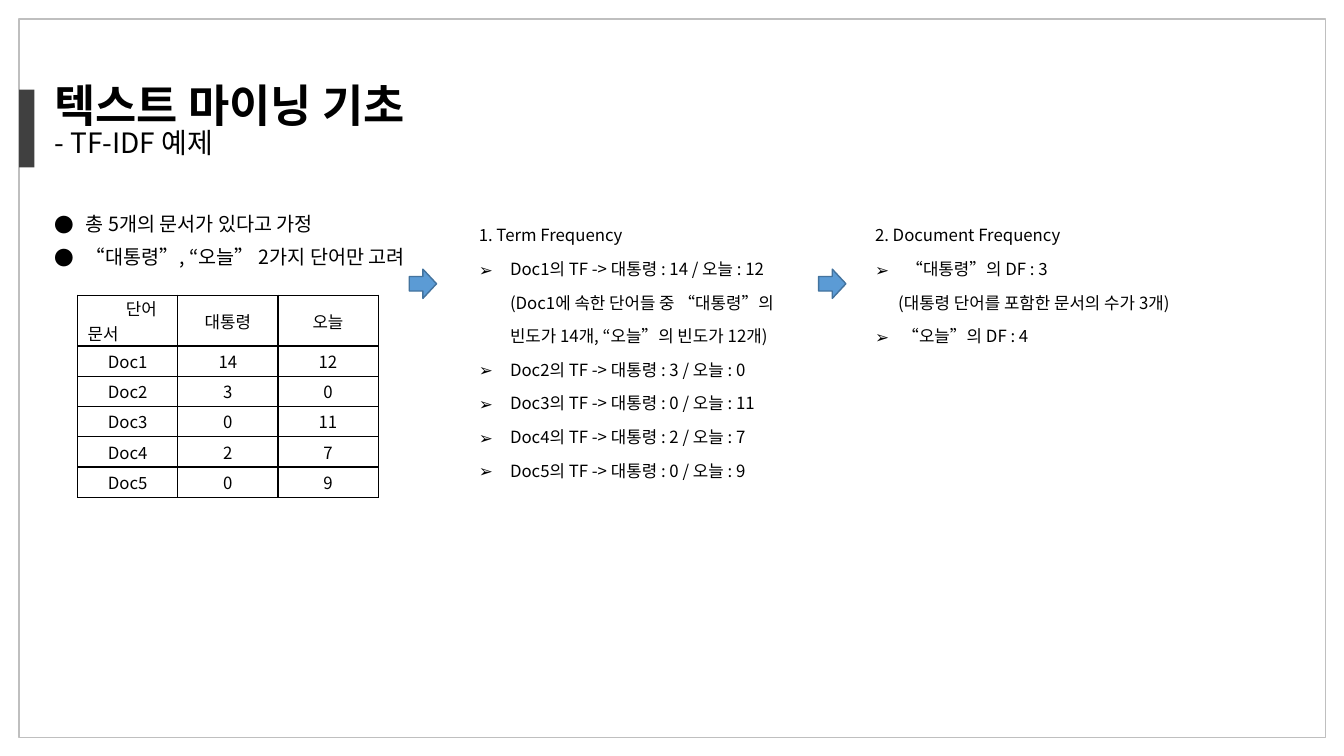
from lxml import etree
from pptx import Presentation
from pptx.dml.color import RGBColor
from pptx.enum.shapes import MSO_SHAPE
from pptx.enum.text import MSO_ANCHOR, MSO_AUTO_SIZE, PP_ALIGN
from pptx.oxml.ns import qn
from pptx.util import Inches, Pt

RECTANGLE, RIGHT_ARROW = MSO_SHAPE.RECTANGLE, MSO_SHAPE.RIGHT_ARROW
TOP, MIDDLE = MSO_ANCHOR.TOP, MSO_ANCHOR.MIDDLE
LEFT, CENTER = PP_ALIGN.LEFT, PP_ALIGN.CENTER
NO_AUTOFIT = MSO_AUTO_SIZE.NONE

FONT = "Noto Sans CJK KR"
COLORS = {"text": "000000", "frame": "BFBFBF", "accent": "404040",
          "arrow": "5B9BD5", "arrow_line": "43739E"}

# Content: paragraphs are (text, bullet, left indent in inches)
TITLE, SUBTITLE = "텍스트 마이닝 기초", "- TF-IDF 예제"
ASSUMPTIONS = [
    ("총 5개의 문서가 있다고 가정", "●", 0.31),
    ("“대통령”, “오늘” 2가지 단어만 고려", "●", 0.31),
]
WORDS = ("대통령", "오늘")
CORNER = ("단어", "문서")
COUNTS = [("Doc1", 14, 12), ("Doc2", 3, 0), ("Doc3", 0, 11),
          ("Doc4", 2, 7), ("Doc5", 0, 9)]
DOC1_NOTE = " (Doc1에 속한 단어들 중 “대통령”의 빈도가 14개, “오늘”의 빈도가 12개)"
TERM_FREQUENCY = [("1. Term Frequency", None, 0)] + [
    (f"{doc}의 TF -> 대통령 : {president} / 오늘 : {today}"
     + (DOC1_NOTE if doc == "Doc1" else ""), "➢", 0.31)
    for doc, president, today in COUNTS
]
DOCUMENT_FREQUENCY = [
    ("2. Document Frequency", None, 0),
    ("“대통령”의 DF : 3", "➢", 0.31),
    ("(대통령 단어를 포함한 문서의 수가 3개)", None, 0.23),
    ("“오늘”의 DF : 4", "➢", 0.27),
]

# Layout in inches: left, top, width, height
FRAME = (0.19, 0.19, 12.96, 7.13)
ACCENT = (0.19, 0.89, 0.15, 0.77)
TITLE_BOX = (0.44, 0.78, 4.11, 0.98)
ASSUMPTIONS_BOX = (0.44, 1.95, 7.52, 0.73)
NOTES = [((4.65, 2.05, 3.31, 3.13), TERM_FREQUENCY),
         ((8.58, 2.05, 3.65, 2.12), DOCUMENT_FREQUENCY)]
ARROW_LEFTS = (4.06, 8.12)
TABLE_BOX = (0.77, 2.93, 2.98, 2.0)
HEADER_HEIGHT, ROW_HEIGHT = 0.5, 0.3


def color(name):
    return RGBColor.from_string(COLORS[name])


def place(shape, area):
    for side, value in zip(("left", "top", "width", "height"), area):
        setattr(shape, side, Inches(value))


def write(para, text, size, bold=False, **layout):
    """Put one formatted span in a paragraph."""
    layout = {"alignment": LEFT, "space_before": Pt(0), "space_after": Pt(0)} | layout
    for name, value in layout.items():
        setattr(para, name, value)
    span = para.add_run()
    span.text = text
    for name, value in {"name": FONT, "size": Pt(size), "bold": bold}.items():
        setattr(span.font, name, value)
    span.font.color.rgb = color("text")
    east_asian = etree.SubElement(span.font._element, qn("a:ea"))
    east_asian.set("typeface", FONT)


def indent(para, left, bullet=None):
    props = para._p.get_or_add_pPr()
    props.set("marL", str(Inches(left)))
    props.set("indent", str(-Inches(left) if bullet else 0))
    if bullet:
        etree.SubElement(props, qn("a:buFont")).set("typeface", FONT)
        etree.SubElement(props, qn("a:buChar")).set("char", bullet)
    else:
        etree.SubElement(props, qn("a:buNone"))


def paragraphs(frame, count):
    return [frame.paragraphs[0]] + [frame.add_paragraph() for _ in range(count - 1)]


def prepare(box, wrap=True):
    settings = {"word_wrap": wrap, "auto_size": NO_AUTOFIT, "vertical_anchor": TOP}
    for name, value in settings.items():
        setattr(box.text_frame, name, value)


def fill_list(box, lines, size):
    prepare(box)
    for para, (text, bullet, left) in zip(paragraphs(box.text_frame, len(lines)), lines):
        write(para, text, size, line_spacing=Pt(24))
        indent(para, left, bullet)


def add_block(kind, area, fill=None, line=None):
    block = page.shapes.add_shape(kind, *map(Inches, area))
    block.shadow.inherit = False
    if fill:
        block.fill.solid()
        block.fill.fore_color.rgb = color(fill)
    else:
        block.fill.background()
    if line:
        block.line.color.rgb = color(line)
        block.line.width = Pt(1)
    else:
        block.line.fill.background()


def format_cell(cell):
    settings = {"vertical_anchor": MIDDLE, "margin_left": Inches(0.1),
                "margin_right": Inches(0.1), "margin_top": Inches(0.01),
                "margin_bottom": Inches(0.01)}
    for name, value in settings.items():
        setattr(cell, name, value)
    props = cell._tc.get_or_add_tcPr()
    for edge in ("lnL", "lnR", "lnT", "lnB"):
        border = etree.SubElement(props, qn(f"a:{edge}"), w=str(Pt(1)))
        solid = etree.SubElement(border, qn("a:solidFill"))
        etree.SubElement(solid, qn("a:srgbClr"), val=COLORS["text"])
    cell.fill.background()


deck = Presentation()
deck.slide_width, deck.slide_height = Inches(13.33), Inches(7.5)
page = deck.slides.add_slide(deck.slide_layouts[1])

# Frame and accent bar
add_block(RECTANGLE, FRAME, line="frame")
add_block(RECTANGLE, ACCENT, fill="accent")

# Title with subtitle
title = page.shapes.title
place(title, TITLE_BOX)
prepare(title, wrap=False)
heading, subheading = paragraphs(title.text_frame, 2)
write(heading, TITLE, 32, bold=True, line_spacing=0.9)
write(subheading, SUBTITLE, 20, line_spacing=0.8)

# Assumptions and the two frequency lists
body = page.placeholders[1]
place(body, ASSUMPTIONS_BOX)
fill_list(body, ASSUMPTIONS, 14)
for area, lines in NOTES:
    fill_list(page.shapes.add_textbox(*map(Inches, area)), lines, 12)

# Arrows between the steps
for left in ARROW_LEFTS:
    add_block(RIGHT_ARROW, (left, 2.67, 0.27, 0.29), "arrow", "arrow_line")

# Word count table
rows = [("", *WORDS), *COUNTS]
table = page.shapes.add_table(len(rows), len(rows[0]), *map(Inches, TABLE_BOX)).table
table.first_row = table.horz_banding = False
for column in table.columns:
    column.width = Inches(TABLE_BOX[2] / len(rows[0]))
for index, values in enumerate(rows):
    table.rows[index].height = Inches(ROW_HEIGHT if index else HEADER_HEIGHT)
    for position, value in enumerate(values):
        cell = table.cell(index, position)
        format_cell(cell)
        if value != "":
            write(cell.text_frame.paragraphs[0], str(value), 12, alignment=CENTER)

# Corner cell names both axes
word_label, document_label = paragraphs(table.cell(0, 0).text_frame, 2)
write(word_label, CORNER[0], 12, alignment=CENTER)
indent(word_label, 0.27)
write(document_label, CORNER[1], 12)

deck.save("out.pptx")
